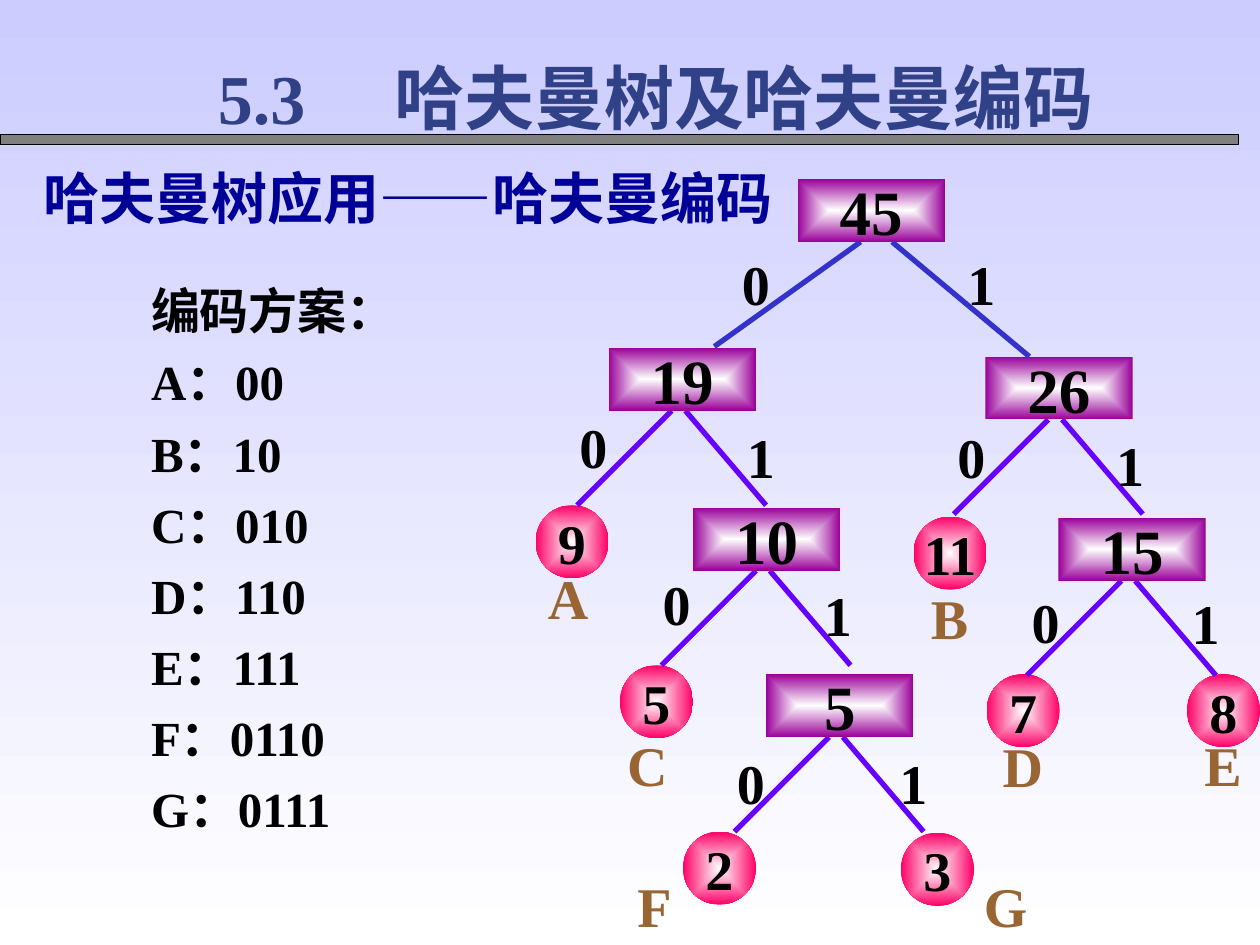
from lxml.etree import SubElement
from pptx import Presentation
from pptx.dml.color import RGBColor
from pptx.enum.shapes import MSO_CONNECTOR, MSO_SHAPE
from pptx.enum.text import MSO_ANCHOR, MSO_AUTO_SIZE, PP_ALIGN
from pptx.oxml.ns import qn
from pptx.util import Inches, Pt

FONT = "Times New Roman"
BLACK = RGBColor(0x00, 0x00, 0x00)
WHITE = RGBColor(0xFF, 0xFF, 0xFF)
GRAY = RGBColor(0x80, 0x80, 0x80)
LILAC = RGBColor(0xCC, 0xCC, 0xFF)
NAVY = RGBColor(0x31, 0x41, 0x87)
BLUE = RGBColor(0x00, 0x00, 0x99)
ROOT = RGBColor(0x33, 0x33, 0xCC)
VIOLET = RGBColor(0x66, 0x00, 0xFF)
PURPLE = RGBColor(0x99, 0x00, 0x99)
PINK = RGBColor(0xFF, 0x00, 0x66)
BROWN = RGBColor(0x99, 0x66, 0x33)

# Content
TITLE = "5.3\t哈夫曼树及哈夫曼编码"
HEAD = "哈夫曼树应用——哈夫曼编码"
CODES = ["编码方案：", "A：00", "B：10", "C：010", "D：110", "E：111",
         "F：0110", "G：0111"]
# weight, corner of box, corners of the 0 and 1 marks
NODES = [
    ("5", (6.08, 5.35), (5.67, 5.92), (6.96, 5.92)),
    ("10", (5.5, 4.03), (5.08, 4.5), (6.36, 4.58)),
    ("19", (4.83, 2.76), (4.42, 3.25), (5.75, 3.33)),
    ("26", (7.82, 2.83), (7.42, 3.33), (8.68, 3.39)),
    ("15", (8.4, 4.11), (8.01, 4.64), (9.28, 4.65)),
    ("45", (6.33, 1.42), (5.71, 1.96), (7.5, 1.96)),
]
# weight, corner of circle, letter, corner of letter
LEAVES = [
    ("9", (4.25, 4.01), "A", (4.25, 4.42)),
    ("11", (7.25, 4.1), "B", (7.29, 4.58)),
    ("5", (4.92, 5.28), "C", (4.88, 5.75)),
    ("7", (7.83, 5.35), "D", (7.86, 5.76)),
    ("8", (9.42, 5.35), "E", (9.46, 5.75)),
    ("2", (5.42, 6.6), "F", (4.96, 6.87)),
    ("3", (7.15, 6.61), "G", (7.71, 6.87)),
]
BOX = (1.17, 0.5)
DISC = (0.58, 0.58)
# branches from a box: start x, run, drop
FORK = [(0.5, -0.75, 0.75), (0.61, 0.64, 0.75)]
TOP = [(0.5, -1.16, 0.83), (0.75, 1.09, 0.91)]

deck = Presentation()
deck.slide_width, deck.slide_height = Inches(10), Inches(7.5)
slide = deck.slides.add_slide(deck.slide_layouts[5])
shapes = slide.shapes


def write(shape, text, size=32, color=BLACK, align=PP_ALIGN.JUSTIFY,
          anchor=MSO_ANCHOR.TOP, wrap=True, gap=0):
    frame = shape.text_frame
    frame.auto_size = MSO_AUTO_SIZE.NONE
    frame.word_wrap = wrap
    frame.vertical_anchor = anchor
    frame.text = text
    for para in frame.paragraphs:
        para.alignment = align
        para.space_before = Pt(gap)
        font = para.runs[0].font
        font.name, font.size, font.bold = FONT, Pt(size), True
        font.color.rgb = color


def blend(fill, start, end):
    fill.gradient()
    for stop, color, spot in zip(fill.gradient_stops, (start, end), (0, 1)):
        stop.color.rgb = color
        stop.position = spot


def glow(shape, color):
    """Shade from a white centre out to the edges."""
    blend(shape.fill, WHITE, color)
    grad = shape._element.spPr.find(qn("a:gradFill"))
    grad.remove(grad.find(qn("a:lin")))
    ring = SubElement(grad, qn("a:path"), {"path": "rect"})
    SubElement(ring, qn("a:fillToRect"), dict.fromkeys("ltrb", "50000"))


def place(kind, spot, area):
    shape = shapes.add_shape(kind, *map(Inches, spot + area))
    shape.shadow.inherit = False
    shape.line.fill.background()
    return shape


def node(kind, text, spot, area, color=None, size=32):
    shape = place(kind, spot, area)
    if color is None:
        shape.fill.background()
    else:
        glow(shape, color)
    write(shape, text, size=size, align=PP_ALIGN.CENTER,
          anchor=MSO_ANCHOR.MIDDLE, wrap=False)


def label(text, spot, area, **style):
    write(shapes.add_textbox(*map(Inches, spot + area)), text, **style)


def branch(x, y, run, drop, color):
    line = shapes.add_connector(
        MSO_CONNECTOR.STRAIGHT, *map(Inches, (x, y, x + run, y + drop)))
    line.line.color.rgb = color
    line.line.width = Pt(3)
    SubElement(line._element.spPr, qn("a:effectLst"))


# Background and rule
blend(slide.background.fill, LILAC, WHITE)
slide.background.fill.gradient_angle = 270
bar = place(MSO_SHAPE.RECTANGLE, (0, 1.07), (9.83, 0.08))
bar.fill.solid()
bar.fill.fore_color.rgb = GRAY
bar.line.color.rgb = BLACK
bar.line.width = Pt(0.75)

# Title, with a tab after the number
title = shapes.title
title.left, title.top, title.width, title.height = map(
    Inches, (1.63, 0.38, 7.71, 0.77))
write(title, TITLE, size=40, color=NAVY)
tabs = SubElement(title.text_frame.paragraphs[0]._p.get_or_add_pPr(),
                  qn("a:tabLst"))
SubElement(tabs, qn("a:tab"), {"pos": str(Inches(1.4)), "algn": "l"})

# Tree: leaves, branches, boxes, then marks and letters
for text, spot, *_ in LEAVES:
    node(MSO_SHAPE.OVAL, text, spot, DISC, PINK)
for text, (x, y), *_ in NODES:
    root = text == "45"
    for start, run, drop in TOP if root else FORK:
        branch(x + start, y + BOX[1], run, drop, ROOT if root else VIOLET)
    node(MSO_SHAPE.RECTANGLE, text, (x, y), BOX, PURPLE, size=36)
for _, _, *marks in NODES:
    for bit, spot in zip("01", marks):
        node(MSO_SHAPE.OVAL, bit, spot, DISC)
for _, _, letter, spot in LEAVES:
    label(letter, spot, (0.5, 0.64), color=BROWN)

# Codes and heading
label("\n".join(CODES), (1.1, 2.18), (2.52, 4.52), size=28, gap=7)
label(HEAD, (0.25, 1.25), (7.53, 0.64), color=BLUE)

deck.save("out.pptx")
